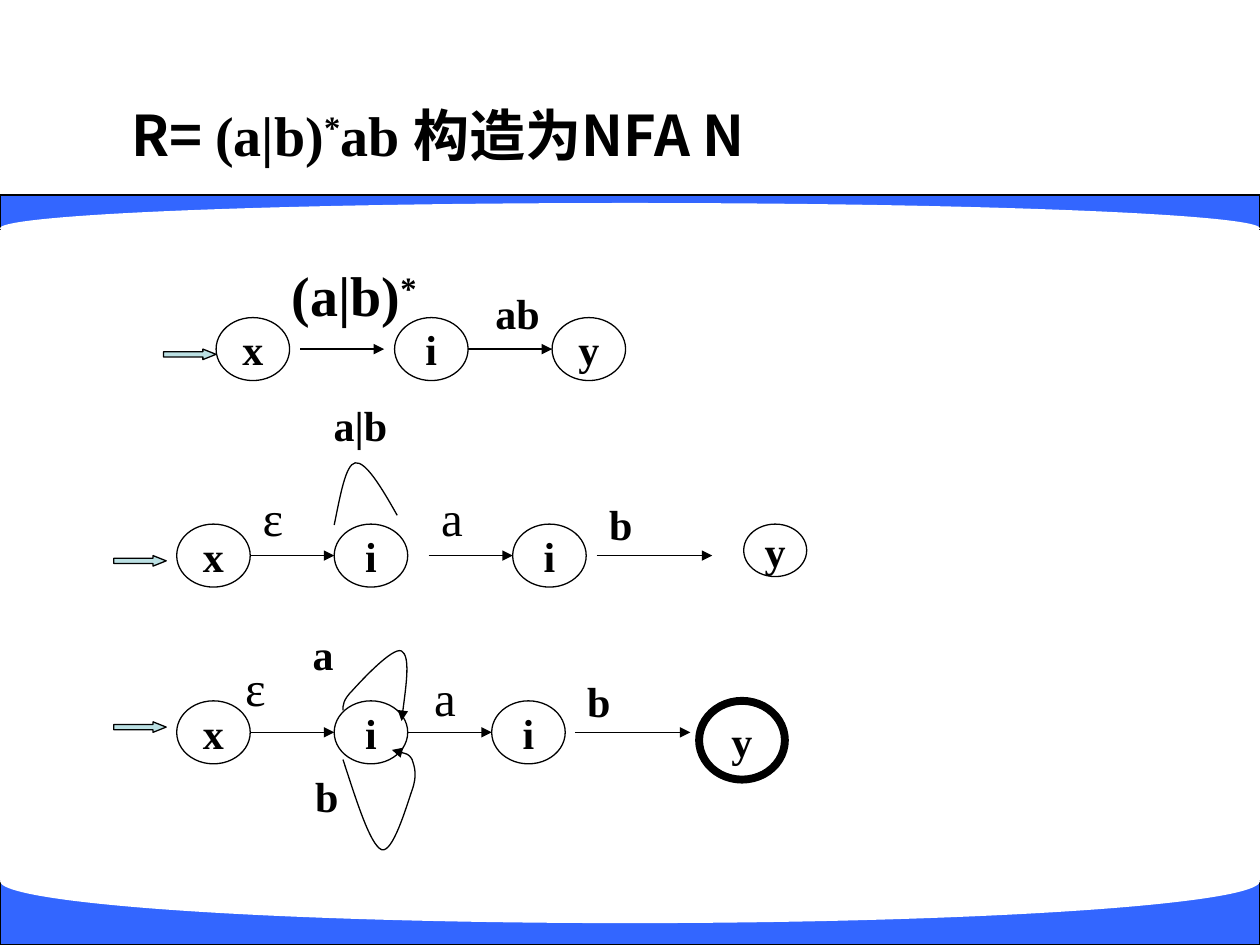
from dataclasses import dataclass
from typing import NamedTuple

from lxml import etree
from pptx import Presentation
from pptx.dml.color import RGBColor
from pptx.enum import shapes, text
from pptx.oxml import ns
from pptx.util import Pt


@dataclass(frozen=True)
class Theme:
    ink: RGBColor = RGBColor(0x00, 0x00, 0x00)
    paper: RGBColor = RGBColor(0xFF, 0xFF, 0xFF)
    band: RGBColor = RGBColor(0x33, 0x66, 0xFF)
    start: RGBColor = RGBColor(0xBB, 0xE0, 0xE3)
    serif: str = "Times New Roman"
    sans: str = "Noto Sans CJK SC"
    title: float = 32
    symbol: float = 28
    body: float = 24
    thin: float = 0.75
    thick: float = 4.5


THEME = Theme()


class Node(NamedTuple):
    name: str
    left: float
    top: float
    width: float = 42
    height: float = 36
    weight: float = THEME.thin


class Label(NamedTuple):
    words: str
    left: float
    top: float
    width: float
    size: float = THEME.body
    bold: bool = True
    raised: str = ""
    wraps: bool = False


class Curve(NamedTuple):
    points: list[tuple[float, float]]
    arrow: bool


class Automaton(NamedTuple):
    axis: float
    start: tuple[float, float]
    nodes: list[Node]
    edges: list[tuple[float, float]]
    labels: list[Label]
    curves: list[Curve]


def row_nodes(axis: float, *places: tuple[str, float]) -> list[Node]:
    return [Node(name, left, axis - 18) for name, left in places]


def symbol(words: str, left: float, top: float) -> Label:
    return Label(words, left, top, 54, THEME.symbol, bold=False, wraps=True)


AUTOMATA = [
    Automaton(
        199.5, (93.5, 199.5),
        row_nodes(199.5, ("x", 123.5), ("i", 225.5), ("y", 315.5)),
        [(171.5, 219.5), (267.5, 315.5)],
        [Label("(a|b)", 159.5, 145.5, 87, THEME.title, raised="*"),
         Label("ab", 276, 160.5, 44)],
        [],
    ),
    Automaton(
        317.5, (65, 317.5),
        row_nodes(317.5, ("x", 101), ("i", 191), ("i", 293))
        + [Node("y", 425, 299.5, 36, 30)],
        [(143, 191), (245, 293), (341, 407)],
        [Label("a|b", 183.5, 224.5, 45.5), symbol("ε", 143, 275),
         symbol("a", 245, 275), Label("b", 341, 281.5, 28)],
        [Curve([(191, 300), (194.5, 283), (197.5, 265.5), (203, 264.5),
                (209, 263.5), (218, 278.5), (227, 294.5)], False)],
    ),
    Automaton(
        418.5, (65, 412.5),
        row_nodes(418.5, ("x", 101), ("i", 191), ("i", 281))
        + [Node("y", 399.5, 400.5, 49, 45, THEME.thick)],
        [(143, 191), (232.5, 281), (328.5, 394.5)],
        [Label("a", 171.5, 355.5, 26.5), Label("b", 173, 436.5, 28),
         symbol("ε", 133, 372), symbol("a", 241, 378), Label("b", 328.5, 382.5, 28)],
        [Curve([(196, 406), (196, 403), (196, 400), (201.5, 394.5), (206.5, 389),
                (224.5, 369.5), (229.5, 372), (234.5, 375), (232, 393), (229.5, 412)], True),
         Curve([(196, 434), (204, 458.5), (211.5, 482.5), (218, 485.5), (224.5, 488),
                (232.5, 460), (235.5, 451.5), (238.5, 443), (237, 438.5), (235.5, 434),
                (233.5, 430.5), (229, 430), (224, 428.5)], True)],
    ),
]


def style_span(span, size: float, bold: bool = True, face: str = THEME.serif) -> None:
    span.font.size, span.font.bold, span.font.name = Pt(size), bold, face
    span.font.color.rgb = THEME.ink
    east = etree.SubElement(span._r.get_or_add_rPr(), ns.qn("a:ea"))
    east.set("typeface", face)


def raise_span(span) -> None:
    span._r.get_or_add_rPr().set("baseline", "30000")


def add_arrowhead(shape) -> None:
    etree.SubElement(shape.line._get_or_add_ln(), ns.qn("a:tailEnd"), type="triangle")


def draw_shape(page, kind, left: float, top: float, width: float, height: float,
               fill: RGBColor | None = None, weight: float = THEME.thin):
    shape = page.shapes.add_shape(kind, Pt(left), Pt(top), Pt(width), Pt(height))
    shape.shadow.inherit = False
    if fill is None:
        shape.fill.background()
    else:
        shape.fill.solid()
        shape.fill.fore_color.rgb = fill
    if weight:
        shape.line.width = Pt(weight)
        shape.line.color.rgb = THEME.ink
    else:
        shape.line.fill.background()
    return shape


def draw_node(page, node: Node) -> None:
    shape = draw_shape(page, shapes.MSO_SHAPE.OVAL, node.left, node.top,
                       node.width, node.height, weight=node.weight)
    frame = shape.text_frame
    frame.text = node.name
    frame.word_wrap = False
    frame.vertical_anchor = text.MSO_ANCHOR.MIDDLE
    frame.paragraphs[0].alignment = text.PP_ALIGN.CENTER
    style_span(frame.paragraphs[0].runs[0], THEME.body)


def draw_label(page, label: Label) -> None:
    box = page.shapes.add_textbox(Pt(label.left), Pt(label.top), Pt(label.width),
                                  Pt(label.size * 1.2 + 7.2))
    frame = box.text_frame
    frame.text = label.words
    frame.word_wrap = label.wraps
    frame.auto_size = text.MSO_AUTO_SIZE.SHAPE_TO_FIT_TEXT
    para = frame.paragraphs[0]
    para.alignment = text.PP_ALIGN.LEFT
    if label.raised:
        span = para.add_run()
        span.text = label.raised
        raise_span(span)
    for span in para.runs:
        style_span(span, label.size, label.bold)


def draw_edge(page, begin: float, end: float, axis: float) -> None:
    edge = page.shapes.add_connector(shapes.MSO_CONNECTOR.STRAIGHT,
                                     Pt(begin), Pt(axis), Pt(end), Pt(axis))
    edge.line.width = Pt(THEME.thin)
    edge.line.color.rgb = THEME.ink
    add_arrowhead(edge)
    etree.SubElement(edge._element.spPr, ns.qn("a:effectLst"))


def draw_curve(page, curve: Curve) -> None:
    first, *rest = [(Pt(x), Pt(y)) for x, y in curve.points]
    builder = page.shapes.build_freeform(*first)
    builder.add_line_segments(rest, close=False)
    shape = builder.convert_to_shape()
    shape.shadow.inherit = False
    shape.fill.background()
    shape.line.width = Pt(THEME.thin)
    shape.line.color.rgb = THEME.ink
    # Every three points become the controls of one Bézier segment
    steps = list(shape._element.iter(ns.qn("a:lnTo")))
    for index in range(0, len(steps), 3):
        bezier = etree.Element(ns.qn("a:cubicBezTo"))
        steps[index].addprevious(bezier)
        for step in steps[index:index + 3]:
            bezier.append(step[0])
            step.getparent().remove(step)
    if curve.arrow:
        add_arrowhead(shape)


def draw_title(page) -> None:
    box = page.shapes.add_textbox(Pt(68.5), Pt(54), Pt(612), Pt(52.5))
    frame = box.text_frame
    frame.word_wrap = True
    frame.margin_left, frame.margin_top = Pt(6.5), Pt(3.5)
    para = frame.paragraphs[0]
    for words, face in (("R= ", THEME.sans), ("(a|b)", THEME.serif), ("*", THEME.serif),
                        ("ab ", THEME.serif), ("构造为NFA N", THEME.sans)):
        span = para.add_run()
        span.text = words
        style_span(span, THEME.title, face=face)
        if words == "*":
            raise_span(span)


def main() -> None:
    deck = Presentation()
    deck.slide_width, deck.slide_height = Pt(720), Pt(540)
    page = deck.slides.add_slide(deck.slide_layouts[6])

    # Curved bands: blue bars cut by white ellipses
    for bar_top, bar_height, oval_top, oval_height in ((111.5, 19.5, 116, 29),
                                                       (503.5, 36.5, 479.5, 48)):
        draw_shape(page, shapes.MSO_SHAPE.RECTANGLE, 0, bar_top, 720, bar_height, THEME.band)
        draw_shape(page, shapes.MSO_SHAPE.OVAL, 0, oval_top, 720, oval_height, THEME.paper, 0)

    draw_title(page)

    # Three stages of the construction
    for automaton in AUTOMATA:
        arrow = draw_shape(page, shapes.MSO_SHAPE.RIGHT_ARROW, *automaton.start, 30, 6, THEME.start)
        arrow.adjustments[0], arrow.adjustments[1] = 0.5, 1.25
        for node in automaton.nodes:
            draw_node(page, node)
        for begin, end in automaton.edges:
            draw_edge(page, begin, end, automaton.axis)
        for label in automaton.labels:
            draw_label(page, label)
        for curve in automaton.curves:
            draw_curve(page, curve)

    deck.save("out.pptx")


if __name__ == "__main__":
    main()
